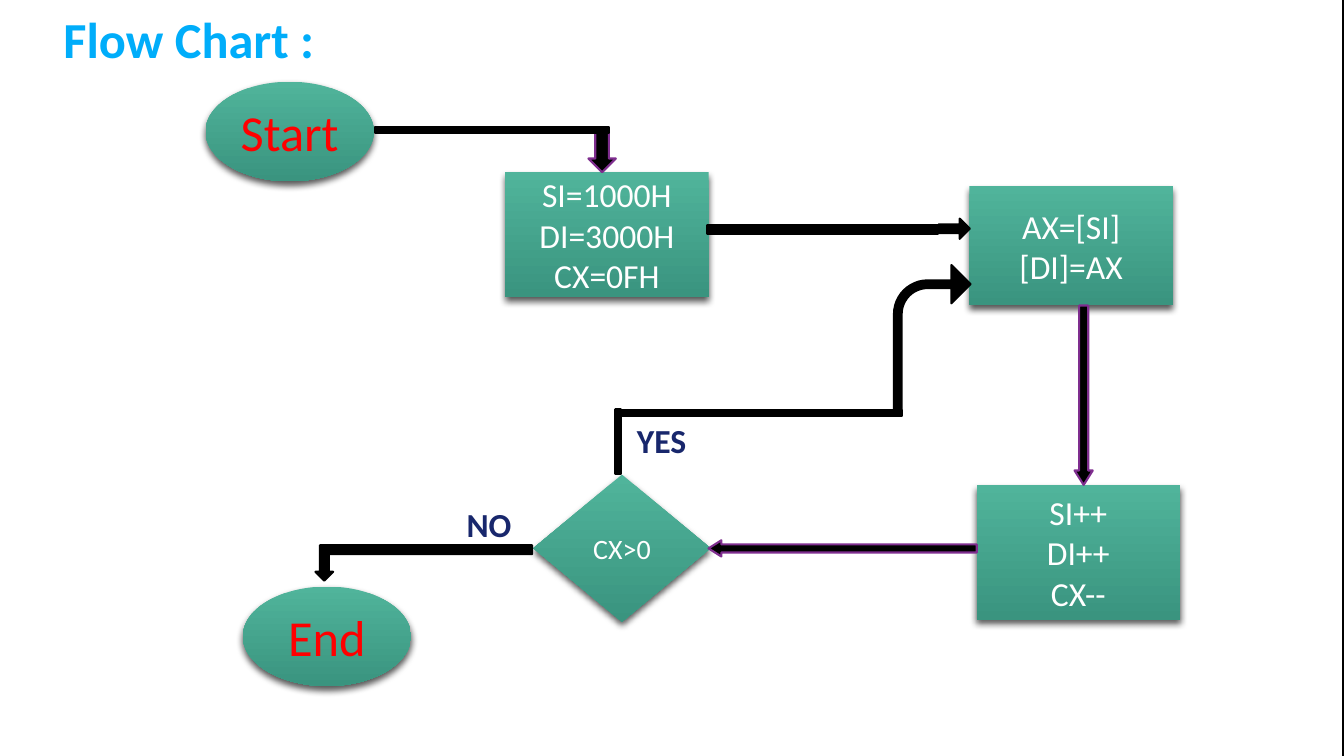
from dataclasses import dataclass

from lxml import etree
from pptx import Presentation
from pptx.dml.color import RGBColor
from pptx.enum.shapes import MSO_SHAPE
from pptx.enum.text import MSO_ANCHOR, MSO_AUTO_SIZE, PP_ALIGN
from pptx.oxml.ns import qn
from pptx.util import Cm, Pt

RECT = MSO_SHAPE.RECTANGLE
OVAL = MSO_SHAPE.OVAL
DIAMOND = MSO_SHAPE.DIAMOND
DOWN_ARROW = MSO_SHAPE.DOWN_ARROW
RIGHT_ARROW = MSO_SHAPE.RIGHT_ARROW
BENT_ARROW = MSO_SHAPE.BENT_ARROW
BENT_UP_ARROW = MSO_SHAPE.BENT_UP_ARROW
MIDDLE = MSO_ANCHOR.MIDDLE
GROW = MSO_AUTO_SIZE.SHAPE_TO_FIT_TEXT
LEFT = PP_ALIGN.LEFT
CENTER = PP_ALIGN.CENTER

BLACK = RGBColor(0x00, 0x00, 0x00)
WHITE = RGBColor(0xFF, 0xFF, 0xFF)
RED = RGBColor(0xFF, 0x00, 0x00)
SKY = RGBColor(0x00, 0xAD, 0xFA)
NAVY = RGBColor(0x18, 0x27, 0x6C)
PURPLE = RGBColor(0x7F, 0x2E, 0x8F)
GREEN_LIGHT = RGBColor(0x50, 0xB4, 0x9B)
GREEN_DARK = RGBColor(0x3A, 0x94, 0x7F)

FONT = "Calibri"


@dataclass(frozen=True)
class Box:
    left: float
    top: float
    width: float
    height: float

    def emu(self) -> tuple:
        return Cm(self.left), Cm(self.top), Cm(self.width), Cm(self.height)


@dataclass(frozen=True)
class Step:
    kind: MSO_SHAPE
    box: Box
    text: str
    size: int = 24
    color: RGBColor = WHITE


@dataclass(frozen=True)
class Solid:
    kind: MSO_SHAPE
    box: Box
    line: RGBColor = BLACK
    adjustments: tuple = ()
    rotation: int = 0
    fill: RGBColor = BLACK


@dataclass(frozen=True)
class Label:
    box: Box
    text: str
    size: int = 24
    color: RGBColor = NAVY
    align: PP_ALIGN = LEFT


PANEL = Solid(RECT, Box(-0.08, 0, 33.87, 19.89), line=WHITE, fill=WHITE)

STEPS = (
    Step(OVAL, Box(5.18, 2.06, 4.24, 2.51), "Start", 36, RED),
    Step(RECT, Box(12.73, 4.34, 5.13, 3.15), "SI=1000H\nDI=3000H\nCX=0FH"),
    Step(RECT, Box(24.43, 4.7, 5.13, 3), "AX=[SI]\n[DI]=AX"),
    Step(RECT, Box(24.61, 12.22, 5.13, 3.4), "SI++\nDI++\nCX--"),
    Step(DIAMOND, Box(13.44, 11.96, 4.47, 3.71), "CX>0", 20),
    Step(OVAL, Box(6.12, 14.78, 4.24, 2.51), "End", 36, RED),
)

LONG_HEAD = (0.5, 0.79)
ARROWS = (
    Solid(DOWN_ARROW, Box(14.83, 3.3, 0.69, 1.04), PURPLE),
    Solid(RECT, Box(9.45, 3.2, 5.89, 0.15)),
    Solid(DOWN_ARROW, Box(27.08, 7.7, 0.46, 4.52), PURPLE, LONG_HEAD),
    Solid(DOWN_ARROW, Box(21.03, 10.44, 0.41, 6.76), PURPLE, LONG_HEAD, 90),
    Solid(BENT_ARROW, Box(22.53, 6.68, 1.93, 3.78),
          adjustments=(0.1, 0.25, 0.25, 0.44)),
    Solid(RECT, Box(15.65, 10.34, 7.09, 0.15)),
    Solid(RECT, Box(14.76, 11.07, 1.63, 0.13), rotation=90),
    Solid(BENT_UP_ARROW, Box(7.95, 13.74, 5.46, 0.89), rotation=180),
    Solid(RIGHT_ARROW, Box(23.65, 5.51, 0.79, 0.51), adjustments=(0.42, 0.5)),
    Solid(RECT, Box(17.83, 5.66, 5.82, 0.23)),
)

LABELS = (
    Label(Box(-3.71, 0.08, 16.94, 1.8), "Flow Chart :", 36, SKY, CENTER),
    Label(Box(15.8, 10.46, 3.3, 1.27), "YES"),
    Label(Box(11.51, 12.57, 3.3, 1.27), "NO"),
)


def write(tf, text: str, size: int, color: RGBColor, align: PP_ALIGN,
          bold: bool = False) -> None:
    tf.word_wrap = True
    tf.text = text
    for p in tf.paragraphs:
        p.alignment = align
        p.font.name = FONT
        p.font.size = Pt(size)
        p.font.bold = bold
        p.font.color.rgb = color


def add_shadow(sp) -> None:
    sp.shadow.inherit = False
    effects = sp._element.spPr.find(qn("a:effectLst"))
    shadow = etree.SubElement(effects, qn("a:outerShdw"), {
        "blurRad": str(Pt(5)), "dist": str(Pt(3)),
        "dir": "5400000", "rotWithShape": "0"})
    color = etree.SubElement(shadow, qn("a:srgbClr"), val=str(BLACK))
    etree.SubElement(color, qn("a:alpha"), val="65000")


def draw_step(s, step: Step) -> None:
    sp = s.shapes.add_shape(step.kind, *step.box.emu())
    sp.fill.gradient()
    sp.fill.gradient_angle = 270
    for stop, color in zip(sp.fill.gradient_stops, (GREEN_LIGHT, GREEN_DARK)):
        stop.color.rgb = color
    sp.line.fill.background()
    add_shadow(sp)
    sp.text_frame.vertical_anchor = MIDDLE
    write(sp.text_frame, step.text, step.size, step.color, CENTER)


def draw_solid(s, solid: Solid) -> None:
    sp = s.shapes.add_shape(solid.kind, *solid.box.emu())
    sp.shadow.inherit = False
    sp.rotation = solid.rotation
    sp.fill.solid()
    sp.fill.fore_color.rgb = solid.fill
    sp.line.color.rgb = solid.line
    sp.line.width = Pt(1.5)
    for i, value in enumerate(solid.adjustments):
        sp.adjustments[i] = value


def draw_label(s, label: Label) -> None:
    tf = s.shapes.add_textbox(*label.box.emu()).text_frame
    write(tf, label.text, label.size, label.color, label.align, bold=True)
    tf.auto_size = GROW


def main() -> None:
    prs = Presentation()
    prs.slide_width = Cm(33.87)
    prs.slide_height = Cm(19.05)
    s = prs.slides.add_slide(prs.slide_layouts[6])
    s.background.fill.solid()
    s.background.fill.fore_color.rgb = BLACK
    draw_solid(s, PANEL)
    for step in STEPS:
        draw_step(s, step)
    for arrow in ARROWS:
        draw_solid(s, arrow)
    for label in LABELS:
        draw_label(s, label)
    prs.save("out.pptx")


if __name__ == "__main__":
    main()
